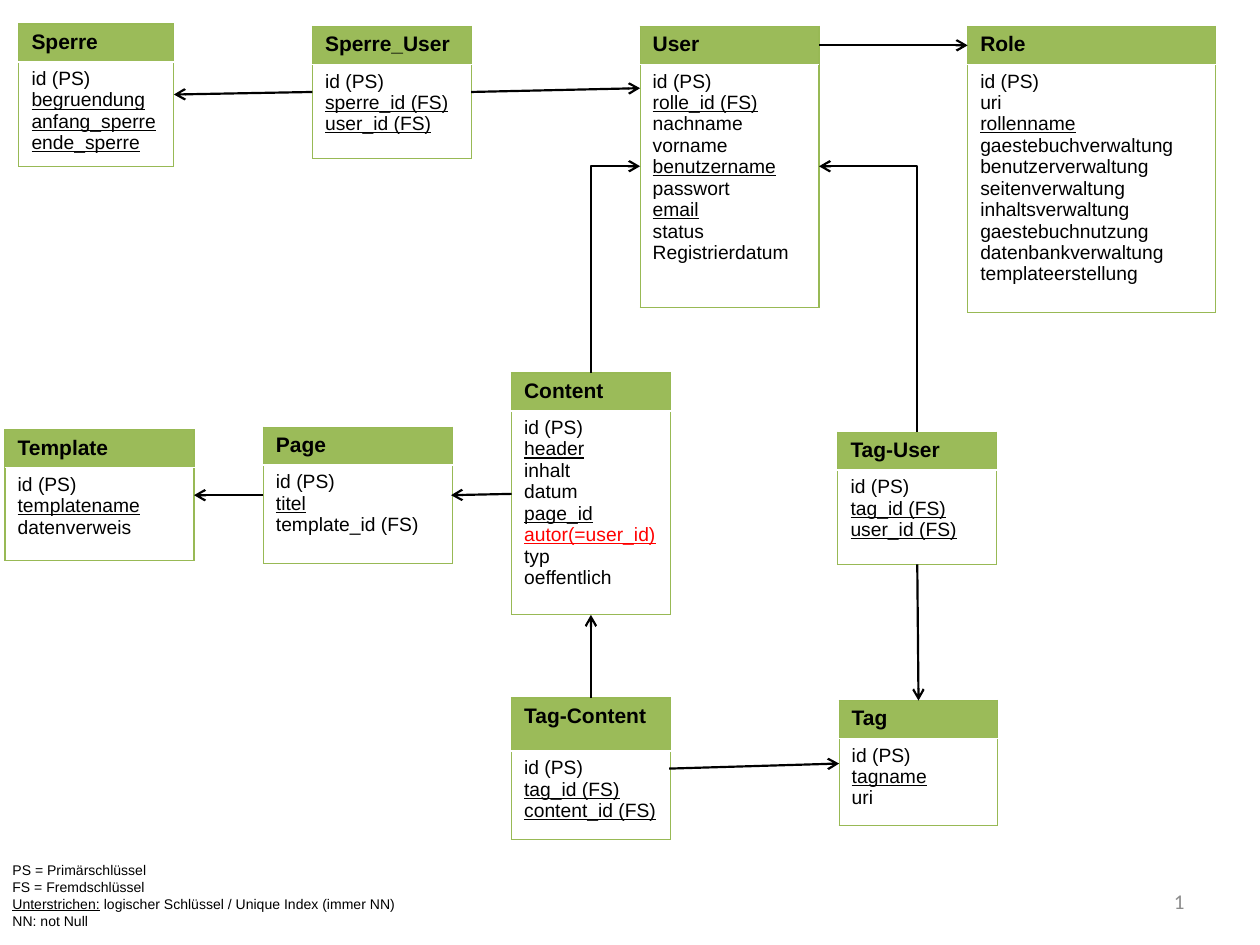
from lxml import etree
from pptx import Presentation, util as u
from pptx.dml.color import RGBColor
from pptx.enum import shapes, text
from pptx.oxml import ns

Inches, Pt = u.Inches, u.Pt
GREEN = RGBColor(0x9B, 0xBB, 0x59)
EDGE = RGBColor(0x98, 0xB9, 0x55)
BLACK = RGBColor(0, 0, 0)
RED = RGBColor(0xFF, 0, 0)
GREY = RGBColor(0x8C, 0x8C, 0x8C)
WHITE = RGBColor(0xFF, 0xFF, 0xFF)

# Name, left, top, width, head height, body height, fields
# A leading * underlines a field, a leading ! also makes it red
TABLES = [
    ("Sperre_User", 2.48, 0.21, 1.26, 0.3, 0.75,
     "id (PS)|*sperre_id (FS)|*user_id (FS)"),
    ("Sperre", 0.15, 0.19, 1.23, 0.3, 0.83,
     "id (PS)|*begruendung|*anfang_sperre|*ende_sperre"),
    ("User", 5.08, 0.21, 1.42, 0.3, 1.93,
     "id (PS)|*rolle_id (FS)|nachname|vorname|*benutzername|passwort|"
     "*email|status|Registrierdatum"),
    ("Role", 7.68, 0.21, 1.97, 0.3, 1.97,
     "id (PS)|uri|*rollenname|gaestebuchverwaltung|benutzerverwaltung|"
     "seitenverwaltung|inhaltsverwaltung|gaestebuchnutzung|"
     "datenbankverwaltung|templateerstellung"),
    ("Content", 4.06, 2.96, 1.26, 0.3, 1.62,
     "id (PS)|*header|inhalt|datum|*page_id|!autor(=user_id)|typ|oeffentlich"),
    ("Page", 2.09, 3.39, 1.5, 0.3, 0.78, "id (PS)|*titel|template_id (FS)"),
    ("Template", 0.04, 3.41, 1.5, 0.3, 0.74,
     "id (PS)|*templatename|datenverweis"),
    ("Tag-User", 6.65, 3.43, 1.26, 0.3, 0.75,
     "id (PS)|*tag_id (FS)|*user_id (FS)"),
    ("Tag-Content", 4.06, 5.54, 1.26, 0.42, 0.7,
     "id (PS)|*tag_id (FS)|*content_id (FS)"),
    ("Tag", 6.66, 5.56, 1.26, 0.3, 0.69, "id (PS)|*tagname|uri"),
]
LINKS = [
    (3.74, 0.73, 5.08, 0.7), (6.5, 0.36, 7.68, 0.36),
    (7.28, 4.48, 7.29, 5.56), (5.31, 6.1, 6.66, 6.06),
    (4.69, 5.54, 4.69, 4.88), (4.06, 3.92, 3.58, 3.93),
    (2.09, 3.93, 1.54, 3.93), (2.48, 0.73, 1.38, 0.75),
]
BENDS = [(7.28, 3.43, 6.5, 1.32), (4.69, 2.96, 5.08, 1.32)]


def style(run, size, color=BLACK, font="Arial", bold=False, under=False):
    run.font.name, run.font.size = font, Pt(size)
    run.font.bold, run.font.underline = bold, under
    run.font.color.rgb = color


def border(cell, sides):
    props = cell._tc.get_or_add_tcPr()
    for i, side in enumerate(sides):
        line = etree.Element(ns.qn("a:ln" + side), w=str(Pt(0.75)))
        fill = etree.SubElement(line, ns.qn("a:solidFill"))
        etree.SubElement(fill, ns.qn("a:srgbClr"), val=str(EDGE))
        props.insert(i, line)


def entity(slide, name, x, y, w, head, body, fields):
    """Database table: green name row above its fields."""
    frame = slide.shapes.add_table(2, 1, Inches(x), Inches(y), Inches(w),
                                   Inches(head + body))
    table = frame.table
    table.rows[0].height, table.rows[1].height = Inches(head), Inches(body)
    top, low = table.cell(0, 0), table.cell(1, 0)
    for cell, color, sides in ((top, GREEN, "LRT"), (low, WHITE, "LRTB")):
        cell.fill.solid()
        cell.fill.fore_color.rgb = color
        border(cell, sides)
    top.text_frame.text = name
    style(top.text_frame.paragraphs[0].runs[0], 12, bold=True)
    items = fields.split("|")
    low.text_frame.text = "\n".join(f.lstrip("*!") for f in items)
    for item, para in zip(items, low.text_frame.paragraphs):
        style(para.runs[0], 11, RED if item[0] == "!" else BLACK,
              under=item[0] in "*!")


def arrow(slide, x1, y1, x2, y2, kind=shapes.MSO_CONNECTOR.STRAIGHT):
    link = slide.shapes.add_connector(kind, Inches(x1), Inches(y1),
                                      Inches(x2), Inches(y2))
    link.line.color.rgb = BLACK
    link.line.width = Pt(1.25)
    etree.SubElement(link.line._get_or_add_ln(), ns.qn("a:tailEnd"),
                     type="arrow")
    etree.SubElement(link._element.spPr, ns.qn("a:effectLst"))
    return link


def bend(slide, x1, y1, x2, y2):
    """Arrow that runs up, then sideways: a flipped elbow, turned."""
    mx, my = (x1 + x2) / 2, (y1 + y2) / 2
    half, rise = (y1 - y2) / 2, abs(x1 - x2) / 2
    left = x2 < x1
    if not left:
        half = -half
    link = arrow(slide, mx - half, my + rise, mx + half, my - rise,
                 shapes.MSO_CONNECTOR.ELBOW)
    props = link._element.spPr
    props.find(ns.qn("a:prstGeom")).set("prst", "bentConnector2")
    turn = 270 if left else 90
    props.find(ns.qn("a:xfrm")).set("rot", str(turn * 60000))


def note(slide, x, y, w, h, words):
    box = slide.shapes.add_textbox(Inches(x), Inches(y), Inches(w), Inches(h))
    box.text_frame.word_wrap = True
    box.text_frame.text = words
    return box.text_frame


def legend(slide, x, y, w, h):
    frame = note(slide, x, y, w, h,
                 "PS = Primärschlüssel\nFS = Fremdschlüssel\n"
                 "Unterstrichen:\nNN: not Null")
    frame.auto_size = text.MSO_AUTO_SIZE.SHAPE_TO_FIT_TEXT
    key = frame.paragraphs[2]
    key.add_run().text = " logischer Schlüssel / Unique Index (immer NN)"
    for para in frame.paragraphs:
        for run in para.runs:
            style(run, 8)
    key.runs[0].font.underline = True


def number(slide, x, y, w, h):
    frame = note(slide, x, y, w, h, "1")
    frame.vertical_anchor = text.MSO_ANCHOR.MIDDLE
    para = frame.paragraphs[0]
    para.alignment = text.PP_ALIGN.RIGHT
    style(para.runs[0], 12, GREY, "Calibri")


deck = Presentation()
deck.slide_width, deck.slide_height = Inches(10), Inches(7.5)
page = deck.slides.add_slide(deck.slide_layouts[6])

# Tables
number(page, 7.17, 6.95, 2.33, 0.4)
for row in TABLES:
    entity(page, *row)

# Relations
for ends in LINKS:
    arrow(page, *ends)
for ends in BENDS:
    bend(page, *ends)

# Key
legend(page, 0, 6.79, 3.35, 0.64)
deck.save("out.pptx")
